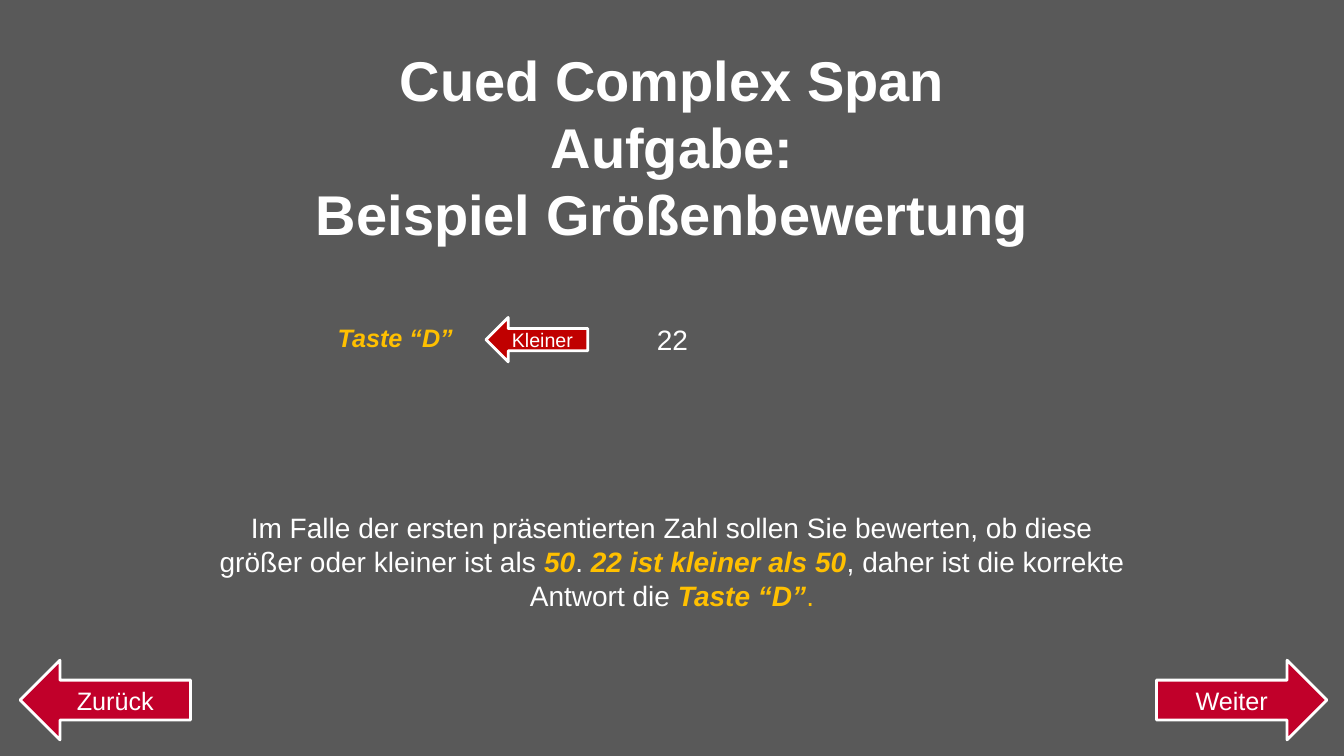
import pptx
import pptx.dml.color
import pptx.enum.shapes
import pptx.enum.text
import pptx.util
from pptx.util import Inches

FONT = "Arial"
WHITE = "FFFFFF"
GOLD = "FFC000"
GREY = "595959"
CRIMSON = "C1002A"
RED = "C00000"

ALIGN = pptx.enum.text.PP_ALIGN
ARROW = pptx.enum.shapes.MSO_SHAPE


def rgb(hex_code):
    return pptx.dml.color.RGBColor.from_string(hex_code)


def add_run(paragraph, text, size, color=WHITE, bold=False, italic=False):
    run = paragraph.add_run()
    run.text = text
    run.font.name = FONT
    run.font.size = pptx.util.Pt(size)
    run.font.bold = bold
    run.font.italic = italic
    run.font.color.rgb = rgb(color)


def add_key_run(paragraph, text, size):
    """Add a highlighted key term."""
    add_run(paragraph, text, size, GOLD, bold=True, italic=True)


def add_text_box(slide, left, top, width, height, align=ALIGN.CENTER, wrap=True):
    """Add an empty text box and return its first paragraph."""
    box = slide.shapes.add_textbox(
        Inches(left), Inches(top), Inches(width), Inches(height))
    box.text_frame.word_wrap = wrap
    paragraph = box.text_frame.paragraphs[0]
    paragraph.alignment = align
    return paragraph


def add_arrow(slide, direction, left, top, width, height, label, size, fill):
    arrow = slide.shapes.add_shape(
        direction, Inches(left), Inches(top), Inches(width), Inches(height))
    arrow.shadow.inherit = False
    arrow.fill.solid()
    arrow.fill.fore_color.rgb = rgb(fill)
    arrow.line.color.rgb = rgb(WHITE)
    arrow.line.width = pptx.util.Pt(2)
    frame = arrow.text_frame
    frame.word_wrap = True
    frame.vertical_anchor = pptx.enum.text.MSO_ANCHOR.MIDDLE
    frame.paragraphs[0].alignment = ALIGN.CENTER
    add_run(frame.paragraphs[0], label, size)


def add_title(slide):
    title = add_text_box(slide, 2.6, 0.4, 8.13, 1.43, wrap=False)
    add_run(title, "Cued Complex Span Aufgabe:", 40, bold=True)
    title.add_line_break()
    add_run(title, "Beispiel Größenbewertung", 40, bold=True)


def add_explanation(slide):
    explanation = add_text_box(slide, 2.06, 5.02, 9.21, 1.77)
    add_run(explanation, "Im Falle der ersten präsentierten Zahl sollen Sie bewerten, "
            "ob diese größer oder kleiner ist als ", 20)
    add_key_run(explanation, "50", 20)
    add_run(explanation, ". ", 20)
    add_key_run(explanation, "22 ist kleiner als 50", 20)
    add_run(explanation, ", daher ist die korrekte Antwort die ", 20)
    add_key_run(explanation, "Taste “D”", 20)
    add_run(explanation, ".", 20, GOLD)


def add_example(slide):
    """Add the number shown, the answer key and the arrow between them."""
    number = add_text_box(slide, 4.3, 3.15, 4.74, 0.43)
    add_run(number, "22", 20)
    answer_key = add_text_box(slide, 3.25, 3.15, 1.36, 0.4, ALIGN.LEFT)
    add_key_run(answer_key, "Taste “D”", 18)
    add_arrow(slide, ARROW.LEFT_ARROW, 4.82, 3.15, 1.01, 0.44, "Kleiner", 14, RED)


def main():
    presentation = pptx.Presentation()
    presentation.slide_width = Inches(13.33)
    presentation.slide_height = Inches(7.5)
    slide = presentation.slides.add_slide(presentation.slide_layouts[6])
    slide.background.fill.solid()
    slide.background.fill.fore_color.rgb = rgb(GREY)

    add_title(slide)
    add_arrow(slide, ARROW.RIGHT_ARROW, 11.47, 6.55, 1.69, 0.79, "Weiter", 18, CRIMSON)
    add_arrow(slide, ARROW.LEFT_ARROW, 0.2, 6.55, 1.69, 0.79, "Zurück", 18, CRIMSON)
    add_explanation(slide)
    add_example(slide)
    presentation.save("out.pptx")


if __name__ == "__main__":
    main()
